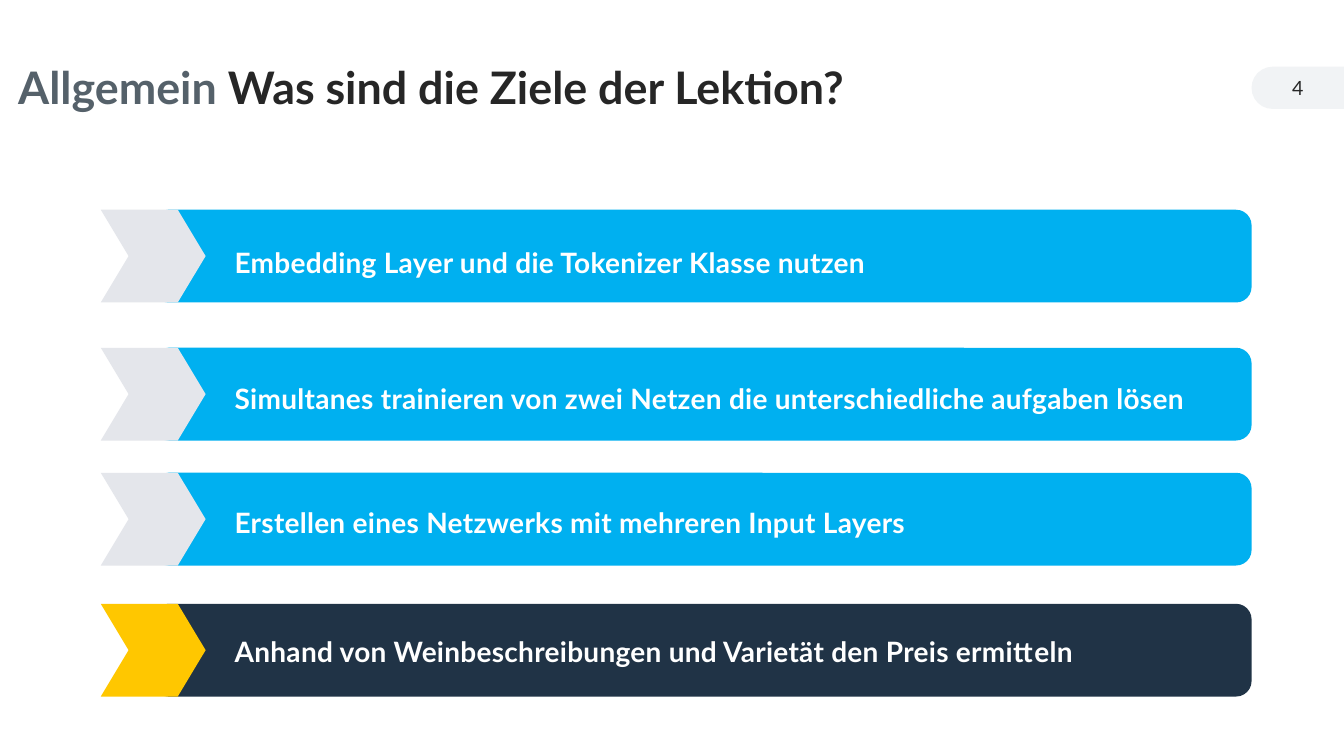
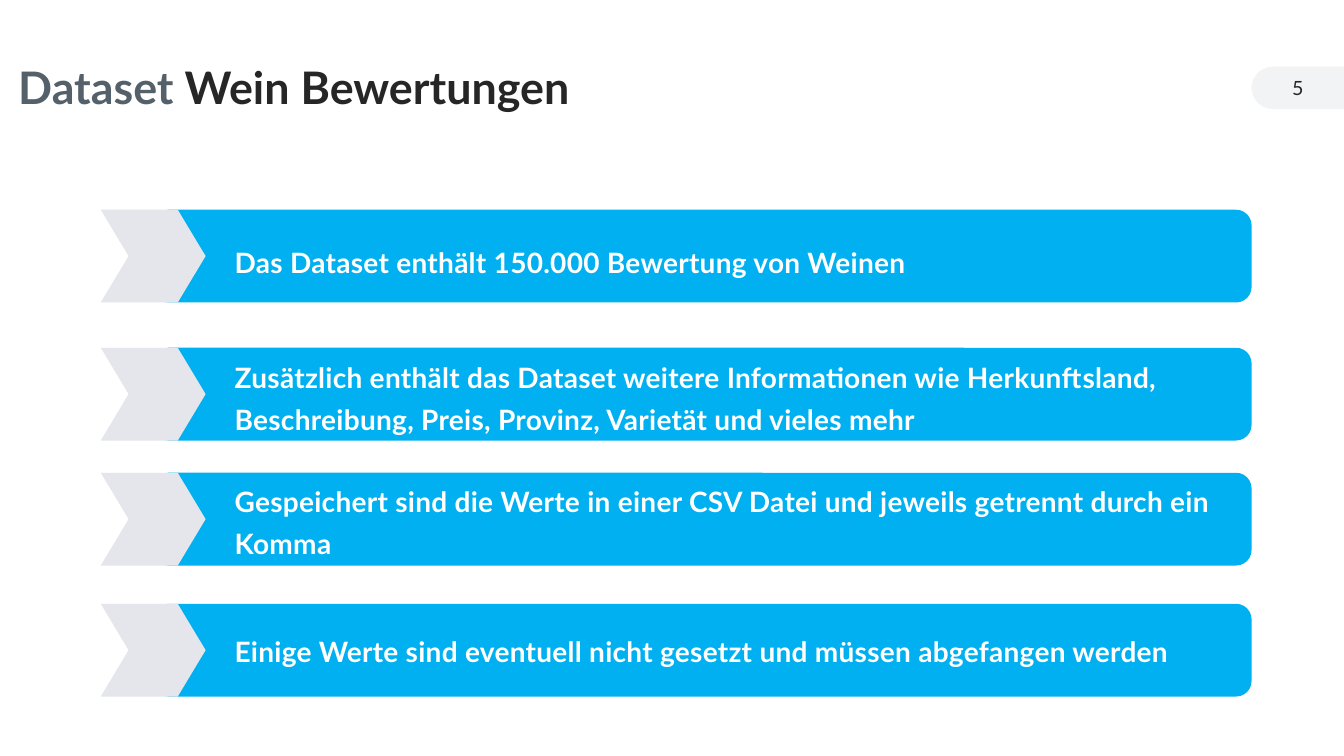
from dataclasses import dataclass

from pptx import Presentation
from pptx.dml.color import RGBColor as RGB
from pptx.enum.shapes import MSO_SHAPE as SHAPE
from pptx.enum.text import MSO_ANCHOR as ANCHOR, MSO_AUTO_SIZE as AUTO, PP_ALIGN as ALIGN
from pptx.util import Pt


@dataclass(frozen=True)
class Theme:
    font: str = "Lato"
    ink: str = "262626"
    topic: str = "55616A"
    pill: str = "F1F3F5"
    blue: str = "00B0F0"
    navy: str = "203346"
    grey: str = "E4E6EB"
    yellow: str = "FFC700"
    white: str = "FFFFFF"
    title_size: int = 32
    row_size: int = 20
    number_size: int = 14


th = Theme()

# Row geometry in points: top of each bar and the shift of its text
ROWS = [(149.8, 1.4), (248.4, 0), (337.7, -0.7), (431.3, -2.2)]
ROW_H = 66.24

# Page number, topic, title, row texts, number of the highlighted row
SLIDES = [
    (4, "Allgemein ", "Was sind die Ziele der Lektion?", [
        "Embedding Layer und die Tokenizer Klasse nutzen",
        "Simultanes trainieren von zwei Netzen die unterschiedliche aufgaben lösen",
        "Erstellen eines Netzwerks mit mehreren Input Layers",
        "Anhand von Weinbeschreibungen und Varietät den Preis ermitteln",
    ], 3),
    (5, "Dataset ", "Wein Bewertungen", [
        "Das Dataset enthält 150.000 Bewertung von Weinen",
        "Zusätzlich enthält das Dataset weitere Informationen wie Herkunftsland, "
        "Beschreibung, Preis, Provinz, Varietät und vieles mehr",
        "Gespeichert sind die Werte in einer CSV Datei und jeweils getrennt durch ein Komma",
        "Einige Werte sind eventuell nicht gesetzt und müssen abgefangen werden",
    ], None),
]


def add_box(shapes, kind, left, top, width, height, color):
    sp = shapes.add_shape(kind, Pt(left), Pt(top), Pt(width), Pt(height))
    sp.fill.solid()
    sp.fill.fore_color.rgb = RGB.from_string(color)
    sp.line.fill.background()
    sp.shadow.inherit = False
    return sp


def set_text(sp, runs, size, bold=True, align=ALIGN.LEFT, spacing=1.0):
    tf = sp.text_frame
    tf.word_wrap = True
    tf.auto_size = AUTO.NONE
    tf.vertical_anchor = ANCHOR.MIDDLE
    tf.margin_left = tf.margin_right = 0
    p = tf.paragraphs[0]
    p.alignment, p.line_spacing = align, spacing
    for text, color in runs:
        r = p.add_run()
        r.text = text
        r.font.name, r.font.size, r.font.bold = th.font, Pt(size), bold
        r.font.color.rgb = RGB.from_string(color)
    return p


prs = Presentation()
prs.slide_width, prs.slide_height = Pt(960), Pt(540)

for number, topic, title, texts, highlight in SLIDES:
    s = prs.slides.add_slide(prs.slide_layouts[5])

    # Title
    sp = s.shapes.title
    sp.left, sp.top, sp.width, sp.height = Pt(13), Pt(32.4), Pt(622.8), Pt(63.4)
    set_text(sp, [(topic, th.topic), (title, th.ink)], th.title_size, spacing=0.9)

    # Page number on a pill that runs off the right edge: a tall shape turned left
    pill = add_box(s.shapes, SHAPE.ROUND_2_SAME_RECTANGLE, 911.9, 29.7, 30.2, 66, th.pill)
    pill.adjustments[0] = 0.5
    pill.rotation = 270
    sp = s.shapes.add_textbox(Pt(894), Pt(48.2), Pt(66), Pt(28.8))
    set_text(sp, [(str(number), th.ink)], th.number_size, bold=False, align=ALIGN.CENTER)

    # Rows: bar, chevron and text
    for i, ((top, shift), text) in enumerate(zip(ROWS, texts)):
        bar, arrow = (th.navy, th.yellow) if i == highlight else (th.blue, th.grey)
        row = s.shapes.add_group_shape().shapes
        add_box(row, SHAPE.ROUNDED_RECTANGLE, 109.4, top, 784.6, ROW_H, bar)
        chevron = add_box(row, SHAPE.CHEVRON, 72, top, 74.9, ROW_H, arrow)
        chevron.adjustments[0] = 0.3
        sp = row.add_textbox(Pt(167.6), Pt(top + shift), Pt(710), Pt(ROW_H))
        p = set_text(sp, [(text, th.white)], th.row_size, spacing=1.25)
        p.runs[0].font._element.set("spc", "20")  # letter spacing 0.2 pt

prs.save("out.pptx")
